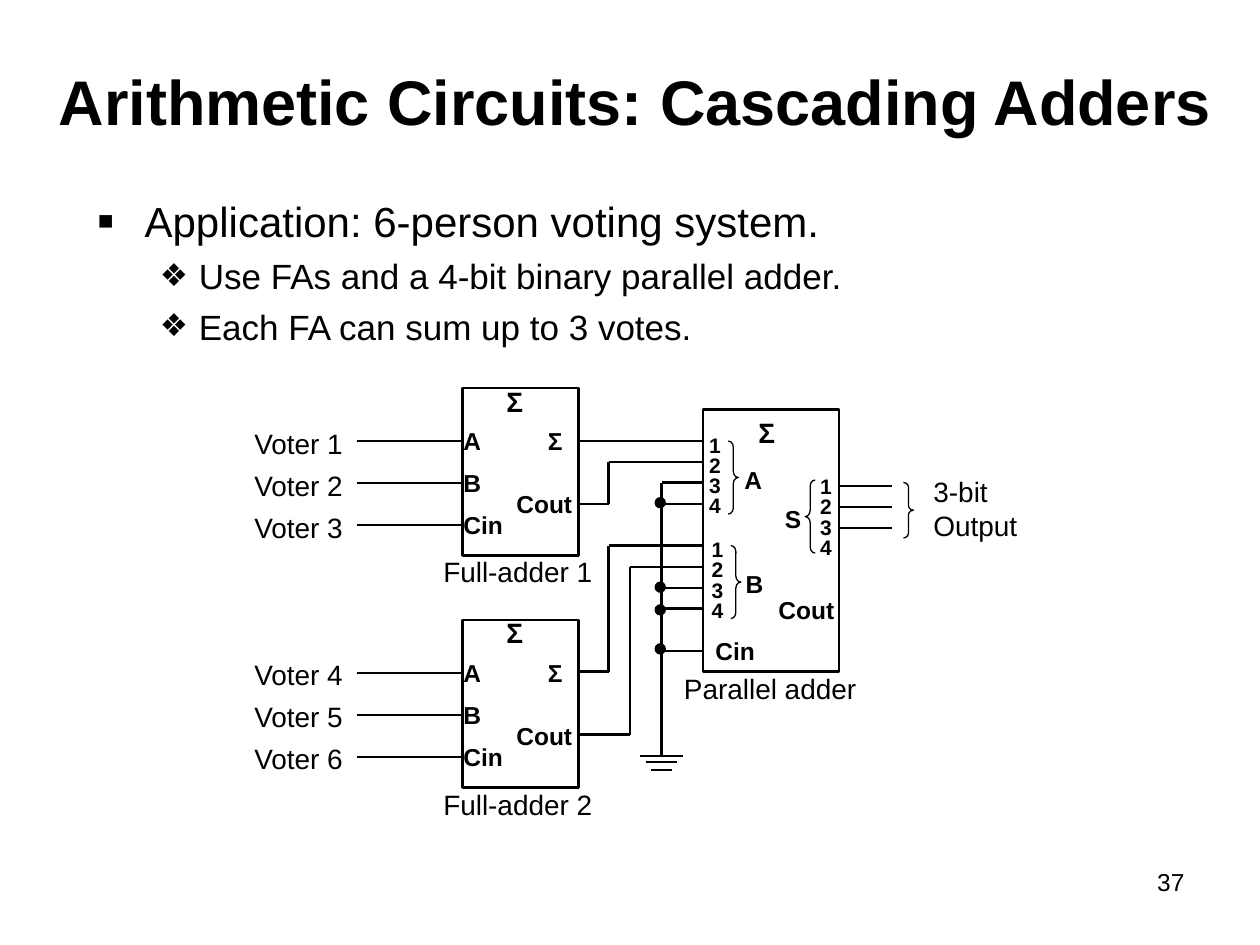
from lxml.etree import SubElement
from pptx import Presentation
from pptx.dml.color import RGBColor
from pptx.enum.shapes import MSO_CONNECTOR as Connector, MSO_SHAPE as Shape
from pptx.enum.text import MSO_ANCHOR as Anchor, MSO_AUTO_SIZE as AutoSize, PP_ALIGN as Align
from pptx.oxml.ns import qn
from pptx.util import Inches, Pt

BLACK = RGBColor(0, 0, 0)
PITCH = 1 / 6  # distance between neighbouring pins


class Diagram:
    font = "Arial"
    ink = BLACK
    wire_width = 1.25

    def __init__(self, page):
        self.page = page

    def text(self, words, left, top, width, height, size=16, bold=False,
             align=Align.LEFT, anchor=Anchor.TOP, spacing=None, grow=True):
        box = self.page.shapes.add_textbox(*map(Inches, (left, top, width, height)))
        frame = box.text_frame
        frame.text = words
        frame.word_wrap = True
        frame.vertical_anchor = anchor
        frame.auto_size = AutoSize.SHAPE_TO_FIT_TEXT if grow else AutoSize.NONE
        for para in frame.paragraphs:
            para.alignment = align
            para.line_spacing = spacing
            for span in para.runs:
                span.font.name = self.font
                span.font.size = Pt(size)
                span.font.bold = bold
                span.font.color.rgb = self.ink
        return frame

    def pin(self, words, left, top, width):
        self.text(words, left, top, width, 0.34, size=14, bold=True)

    def sigma(self, left, top):
        self.text("Σ", left, top, 0.42, 0.37, bold=True)

    def pin_numbers(self, left, top):
        self.text("1\n2\n3\n4", left, top, 0.35, 0.74, size=12, bold=True, spacing=0.8)

    def bullet(self, para, mark, percent, indent, hanging, size):
        properties = para._p.get_or_add_pPr()
        properties.set("marL", str(Inches(indent)))
        properties.set("indent", str(-Inches(hanging)))
        color = SubElement(properties, qn("a:buClr"))
        SubElement(color, qn("a:srgbClr"), val=str(self.ink))
        SubElement(properties, qn("a:buSzPct"), val=str(percent * 1000))
        SubElement(properties, qn("a:buFont"), typeface=self.font)
        SubElement(properties, qn("a:buChar"), char=mark)
        for span in para.runs:
            span.font.size = Pt(size)

    def shape(self, kind, left, top, width, height, line=0.75, filled=False):
        shape = self.page.shapes.add_shape(kind, *map(Inches, (left, top, width, height)))
        shape.shadow.inherit = False
        if filled:
            shape.fill.solid()
            shape.fill.fore_color.rgb = self.ink
        else:
            shape.fill.background()
        shape.line.color.rgb = self.ink
        shape.line.width = Pt(line)
        return shape

    def brace(self, kind, left, top, height):
        width = 0.08
        brace = self.shape(kind, left, top, width, height)
        brace.adjustments[0] = height / 12 / width
        brace.adjustments[1] = 0.5

    def wire(self, *points):
        for start, end in zip(points, points[1:]):
            line = self.page.shapes.add_connector(
                Connector.STRAIGHT, *map(Inches, start + end))
            line.line.color.rgb = self.ink
            line.line.width = Pt(self.wire_width)
            SubElement(line._element.spPr, qn("a:effectLst"))

    def full_adder(self, number, top, caption_top):
        self.shape(Shape.RECTANGLE, 3.67, top, 0.92, 1.33, line=1.5)
        self.sigma(3.92, top - 0.08)
        for row, name in enumerate(("A", "B", "Cin")):
            y = top + 0.42 + row * 2 * PITCH
            self.wire((2.83, y), (3.67, y))
            self.pin(name, 3.58, y - PITCH, 0.58)
            voter = 3 * (number - 1) + row + 1
            self.text(f"Voter {voter}", 1.92, y - PITCH, 1, 0.37)
        self.pin("Σ", 4.25, top + 0.25, 0.42)
        self.pin("Cout", 4, top + 0.75, 0.67)
        self.text(f"Full-adder {number}", 3.42, caption_top, 1.5, 0.37)


deck = Presentation()
deck.slide_width, deck.slide_height = Inches(10), Inches(7.5)
diagram = Diagram(deck.slides.add_slide(deck.slide_layouts[6]))

# Title, page number and bullets
diagram.text("Arithmetic Circuits: Cascading Adders", 0.33, 0.17, 9.42, 1.25, size=36,
             bold=True, align=Align.CENTER, anchor=Anchor.MIDDLE, grow=False)
diagram.text("37", 7.17, 6.83, 2.33, 0.52, size=14, align=Align.RIGHT, grow=False)
body = diagram.text("Application: 6-person voting system.\n"
                    "Use FAs and a 4-bit binary parallel adder.\n"
                    "Each FA can sum up to 3 votes.", 0.67, 1.5, 8.33, 1.42, grow=False)
heading, *details = body.paragraphs
diagram.bullet(heading, "▪", 120, 0.38, 0.38, 24)
for detail in details:
    detail.level = 1
    diagram.bullet(detail, "❖", 90, 0.81, 0.31, 20)
    detail.space_before = Pt(5)

# Full adders with their voters
diagram.full_adder(1, 3.08, 4.35)
diagram.full_adder(2, 4.92, 6.2)

# Parallel adder
diagram.shape(Shape.RECTANGLE, 5.58, 3.25, 1.08, 2.08, line=1.5)
diagram.sigma(5.92, 3.25)
diagram.pin("Cout", 6.08, 4.67, 0.67)
diagram.pin("Cin", 5.58, 5, 0.58)
diagram.text("Parallel adder", 5.33, 5.28, 1.58, 0.37)
for name, kind, brace_left, brace_top, name_left, digits_left, digits_top in (
        ("A", Shape.RIGHT_BRACE, 5.78, 3.5, 5.81, 5.53, 3.42),
        ("B", Shape.RIGHT_BRACE, 5.8, 4.33, 5.82, 5.55, 4.25),
        ("S", Shape.LEFT_BRACE, 6.39, 3.81, 6.13, 6.41, 3.75)):
    diagram.brace(kind, brace_left, brace_top, 0.58)
    diagram.pin(name, name_left, brace_top + 0.14, 0.25)
    diagram.pin_numbers(digits_left, digits_top)

# Three-bit output
for bit in range(3):
    y = 3.86 + bit * PITCH
    diagram.wire((6.67, y), (7.08, y))
diagram.brace(Shape.RIGHT_BRACE, 7.17, 3.83, 0.44)
diagram.text("3-bit Output", 7.31, 3.72, 0.92, 0.64)

# Wires from the full adders to the parallel adder
diagram.wire((4.58, 3.5), (5.58, 3.5))
diagram.wire((4.58, 4), (4.83, 4), (4.83, 3.67), (5.58, 3.67))
diagram.wire((4.58, 5.33), (4.83, 5.33), (4.83, 4.33), (5.58, 4.33))
diagram.wire((4.58, 5.83), (5, 5.83), (5, 4.5), (5.58, 4.5))

# Unused inputs tied to ground
diagram.wire((5.58, 3.83), (5.25, 3.83), (5.25, 6))
for y, dot_top in ((4, 3.95), (4.67, 4.62), (4.83, 4.8), (5.17, 5.11)):
    diagram.wire((5.25, y), (5.58, y))
    diagram.shape(Shape.OVAL, 5.2, dot_top, 0.08, 0.08, filled=True)
for y, half in ((6, 0.17), (6.05, 0.12), (6.11, 0.08)):
    diagram.wire((5.25 - half, y), (5.25 + half, y))

deck.save("out.pptx")
